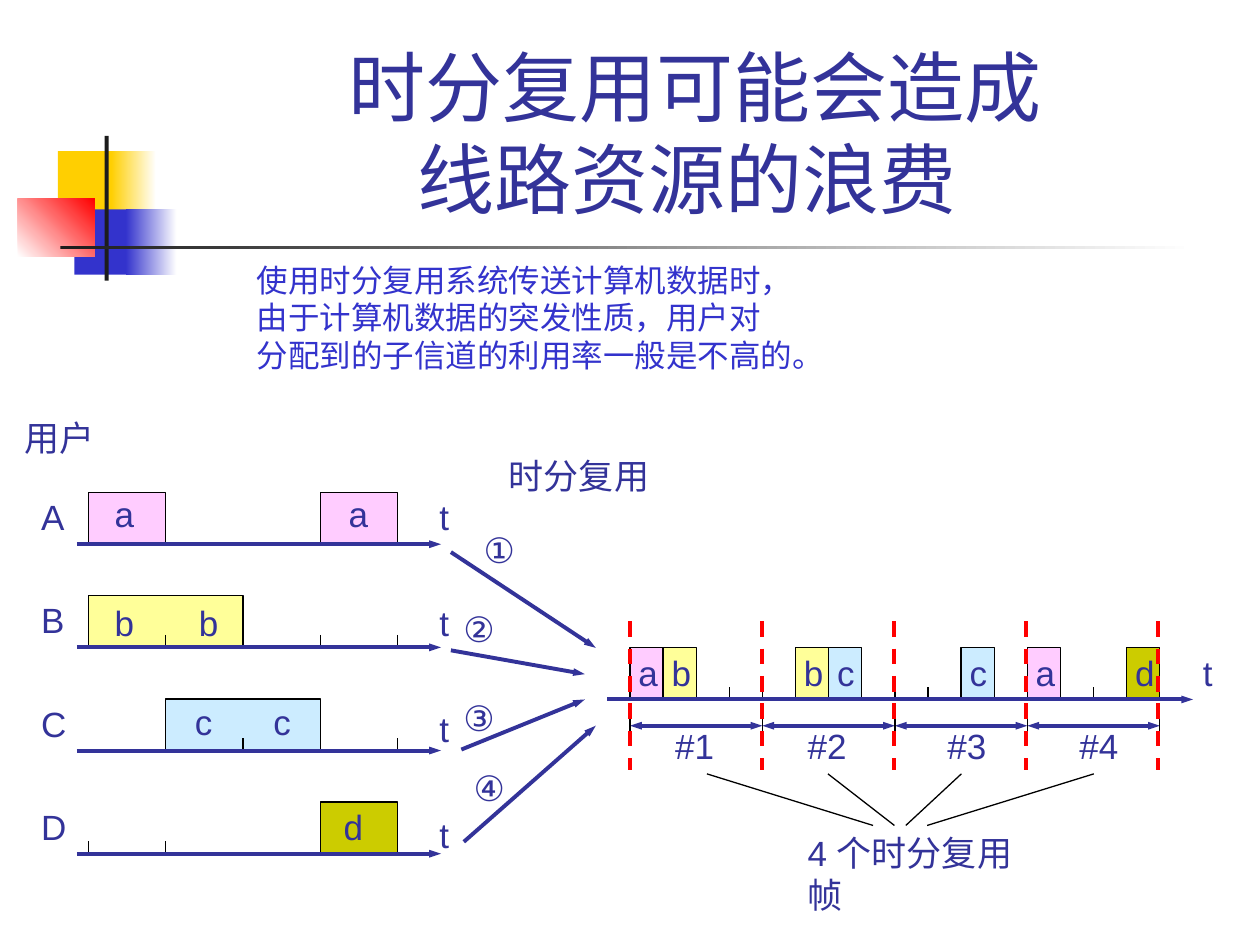
from dataclasses import dataclass

from lxml.etree import SubElement
from pptx import Presentation
from pptx.dml.color import RGBColor
from pptx.enum.dml import MSO_LINE
from pptx.enum.shapes import MSO_CONNECTOR, MSO_SHAPE
from pptx.enum.text import MSO_ANCHOR, PP_ALIGN
from pptx.oxml.ns import qn
from pptx.util import Cm, Pt

NAVY, BLUE, RED, BLACK, DARK = "333399", "3333CC", "FF0000", "000000", "1C1C1C"
GOLD, WHITE = "FFCF01", "FFFFFF"
DATA_COLORS = {"a": "FFCCFF", "b": "FFFF99", "c": "CCECFF", "d": "CCCC00"}

# All positions are in centimetres.
BLOCK_HEIGHT, TICK_HEIGHT = 1.04, 0.25
USER_LEFT, USER_SLOT, USER_TOP, USER_PITCH = 1.78, 1.56, 10.97, 2.08
FRAME_LEFT, FRAME_WIDTH, FRAME_AXIS = 12.7, 2.67, 14.1
FRAME_SLOT = FRAME_WIDTH / 4


@dataclass
class Band:
    left: float
    top: float
    width: float
    height: float
    color: str
    fade_to: str = ""
    angle: float = 0


@dataclass
class User:
    name: str
    data: str
    blocks: list[tuple[int, int]]  # first slot, number of slots
    ticks: list[int]
    letter_lefts: list[float]
    letter_rise: float


@dataclass
class Route:
    number: str
    label_at: tuple[float, float]
    start: tuple[float, float]
    end: tuple[float, float]


@dataclass
class Frame:
    label_left: float
    fan_start: float
    fan_end: float


BANDS = [
    Band(1.17, 3.05, 1.22, 1.32, GOLD),
    Band(2.24, 3.05, 0.91, 1.32, GOLD, WHITE),
    Band(1.5, 4.22, 1.17, 1.32, BLUE),
    Band(2.54, 4.22, 1.02, 1.32, BLUE, WHITE),
    Band(0.36, 4.01, 1.55, 1.17, WHITE, RED, 45),
    Band(2.11, 2.74, 0.08, 2.92, DARK),
    Band(1.22, 4.95, 22.86, 0.08, DARK, WHITE),
]
USERS = [
    User("A", "a", [(0, 1), (3, 1)], [], [2.06, 6.78], 1.17),
    User("B", "b", [(0, 2)], [1, 3, 4], [2.06, 3.76], 1.04),
    User("C", "c", [(1, 2)], [2, 4], [3.68, 5.26], 1.14),
    User("D", "d", [(3, 1)], [0, 1, 3], [6.68], 1.09),
]
ROUTES = [
    Route("①", (9.5, 10.52), (9.09, 11.13), (12.01, 13.06)),
    Route("②", (9.09, 12.12), (9.09, 13.11), (11.79, 13.59)),
    Route("③", (9.09, 13.92), (9.3, 15.11), (11.79, 14.1)),
    Route("④", (9.3, 15.32), (9.35, 16.97), (12.01, 14.63)),
]
FRAMES = [
    Frame(13.36, 14.25, 17.6),
    Frame(16.03, 16.69, 18.03),
    Frame(18.85, 19.38, 18.26),
    Frame(21.51, 22.05, 18.69),
]
SENT_SLOTS = {0: "a", 1: "b", 5: "b", 6: "c", 10: "c", 12: "a", 15: "d"}
FRAME_TICKS = [2, 3, 4, 8, 9, 14]


def rgb(color: str) -> RGBColor:
    return RGBColor.from_string(color)


def draw_band(shapes, band: Band) -> None:
    shape = shapes.add_shape(MSO_SHAPE.RECTANGLE, Cm(band.left), Cm(band.top),
                             Cm(band.width), Cm(band.height))
    shape.shadow.inherit = False
    shape.line.fill.background()
    if band.fade_to:
        shape.fill.gradient()
        shape.fill.gradient_angle = band.angle
        for stop, color in zip(shape.fill.gradient_stops, (band.color, band.fade_to)):
            stop.color.rgb = rgb(color)
    else:
        shape.fill.solid()
        shape.fill.fore_color.rgb = rgb(band.color)


def draw_line(shapes, start: tuple[float, float], end: tuple[float, float],
              color: str = BLACK, width: float = 0.75, arrows: tuple[str, ...] = ()):
    connector = shapes.add_connector(MSO_CONNECTOR.STRAIGHT, Cm(start[0]), Cm(start[1]),
                                     Cm(end[0]), Cm(end[1]))
    connector.line.color.rgb = rgb(color)
    connector.line.width = Pt(width)
    outline = connector.line._get_or_add_ln()
    for arrow in arrows:
        SubElement(outline, qn(f"a:{arrow}"), type="triangle", w="sm", len="med")
    SubElement(connector._element.spPr, qn("a:effectLst"))
    return connector


def draw_arrow(shapes, start: tuple[float, float], end: tuple[float, float],
               both: bool = False) -> None:
    arrows = ("headEnd", "tailEnd") if both else ("tailEnd",)
    draw_line(shapes, start, end, NAVY, 2.25, arrows)


def draw_tick(shapes, x: float, axis: float) -> None:
    draw_line(shapes, (x, axis - TICK_HEIGHT), (x, axis))


def draw_block(shapes, left: float, axis: float, width: float, data: str) -> None:
    """Draw a data block whose outline is open along the time axis."""
    top, right = axis - BLOCK_HEIGHT, left + width
    builder = shapes.build_freeform(Cm(left), Cm(axis))
    builder.add_line_segments(
        [(Cm(left), Cm(top)), (Cm(right), Cm(top)), (Cm(right), Cm(axis))], close=False)
    block = builder.convert_to_shape()
    block.shadow.inherit = False
    block.fill.solid()
    block.fill.fore_color.rgb = rgb(DATA_COLORS[data])
    block.line.color.rgb = rgb(BLACK)
    block.line.width = Pt(0.75)


def draw_text(shapes, text: str, left: float, top: float, width: float,
              height: float = 1.09, wrap: bool = False, size: float = 20,
              font: str = "Arial", color: str = NAVY) -> None:
    frame = shapes.add_textbox(Cm(left), Cm(top), Cm(width), Cm(height)).text_frame
    frame.word_wrap = wrap
    frame.text = text
    for paragraph in frame.paragraphs:
        paragraph.font.size = Pt(size)
        paragraph.font.name = font
        paragraph.font.color.rgb = rgb(color)


def draw_user(shapes, row: int, user: User) -> None:
    axis = USER_TOP + row * USER_PITCH
    for first, count in user.blocks:
        draw_block(shapes, USER_LEFT + first * USER_SLOT, axis, count * USER_SLOT, user.data)
    for slot in user.ticks:
        draw_tick(shapes, USER_LEFT + slot * USER_SLOT, axis)
    draw_arrow(shapes, (1.55, axis), (8.89, axis))
    for left in user.letter_lefts:
        draw_text(shapes, user.data, left, axis - user.letter_rise, 0.91)
    draw_text(shapes, user.name, 0.58, axis - 1.1, 1)
    draw_text(shapes, "t", 8.61, 9.86 + row * 2.14, 0.71)


def draw_shared_line(shapes) -> None:
    for slot, data in SENT_SLOTS.items():
        draw_block(shapes, FRAME_LEFT + slot * FRAME_SLOT, FRAME_AXIS, FRAME_SLOT, data)
    for slot in FRAME_TICKS:
        draw_tick(shapes, FRAME_LEFT + slot * FRAME_SLOT, FRAME_AXIS)
    draw_arrow(shapes, (12.24, FRAME_AXIS), (24.05, FRAME_AXIS))
    for slot, data in SENT_SLOTS.items():
        draw_text(shapes, data, FRAME_LEFT + slot * FRAME_SLOT - 0.08, 13, 0.91)
    draw_text(shapes, "t", 24, 13, 0.71)
    for index, frame in enumerate(FRAMES):
        left = FRAME_LEFT + index * FRAME_WIDTH
        draw_arrow(shapes, (left, 14.63), (left + FRAME_WIDTH, 14.63), both=True)
        draw_text(shapes, f"#{index + 1}", frame.label_left, 14.48, 1.3)
        draw_line(shapes, (frame.fan_start, 15.6), (frame.fan_end, 16.64))
    for boundary in range(len(FRAMES) + 1):
        x = FRAME_LEFT + boundary * FRAME_WIDTH
        draw_line(shapes, (x, 14.35), (x, 14.88))
        divider_x = FRAME_LEFT + boundary * 2.66
        divider = draw_line(shapes, (divider_x, 12.52), (divider_x, 15.52), RED, 2.25)
        divider.line.dash_style = MSO_LINE.DASH


def main() -> None:
    deck = Presentation()
    deck.slide_width, deck.slide_height = Cm(25.4), Cm(19.05)
    slide = deck.slides.add_slide(deck.slide_layouts[5])
    shapes = slide.shapes
    for band in BANDS:
        draw_band(shapes, band)

    title = shapes.title
    title.left, title.top, title.width, title.height = Cm(3.2), Cm(0.58), Cm(21.64), Cm(4.06)
    title.text_frame.text = "时分复用可能会造成\v线路资源的浪费 "
    title.text_frame.vertical_anchor = MSO_ANCHOR.BOTTOM
    heading = title.text_frame.paragraphs[0]
    heading.alignment = PP_ALIGN.CENTER
    heading.font.size, heading.font.name = Pt(44), "Arial"
    heading.font.color.rgb = rgb(NAVY)

    draw_text(shapes, "使用时分复用系统传送计算机数据时，\n由于计算机数据的突发性质，用户对\n"
              "分配到的子信道的利用率一般是不高的。", 4.93, 5.13, 16.18, 3.3, wrap=True,
              size=18, font="Noto Sans CJK SC", color=BLUE)
    draw_text(shapes, "用户", 0.25, 8.28, 1.93)
    draw_text(shapes, "时分复用", 10.01, 9.04, 3.33)
    for row, user in enumerate(USERS):
        draw_user(shapes, row, user)
    for route in ROUTES:
        draw_arrow(shapes, route.start, route.end)
        draw_text(shapes, route.number, *route.label_at, 1.22)
    draw_shared_line(shapes)
    draw_text(shapes, "4 个时分复用帧", 16.03, 16.64, 5.33, wrap=True)
    deck.save("out.pptx")


if __name__ == "__main__":
    main()
